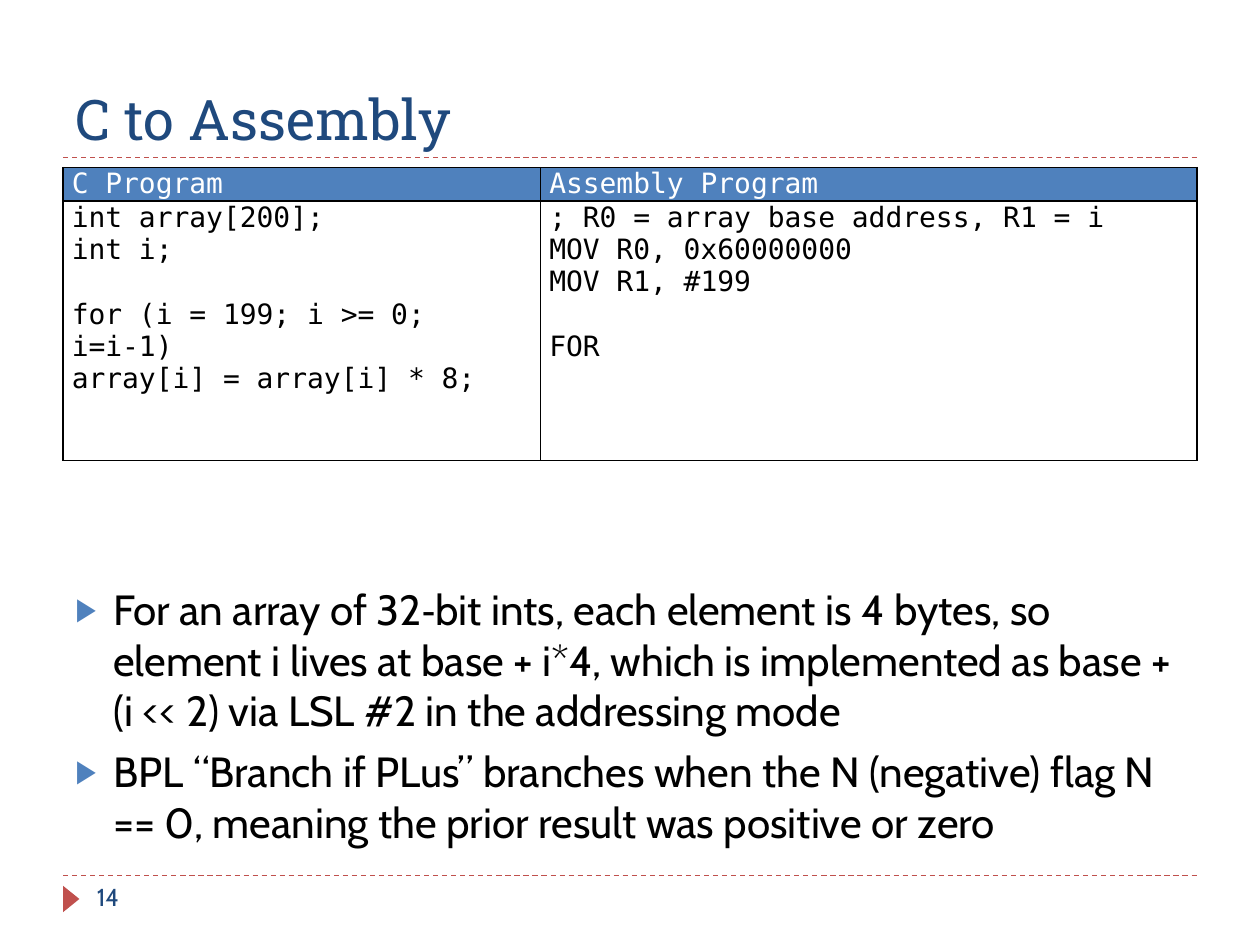
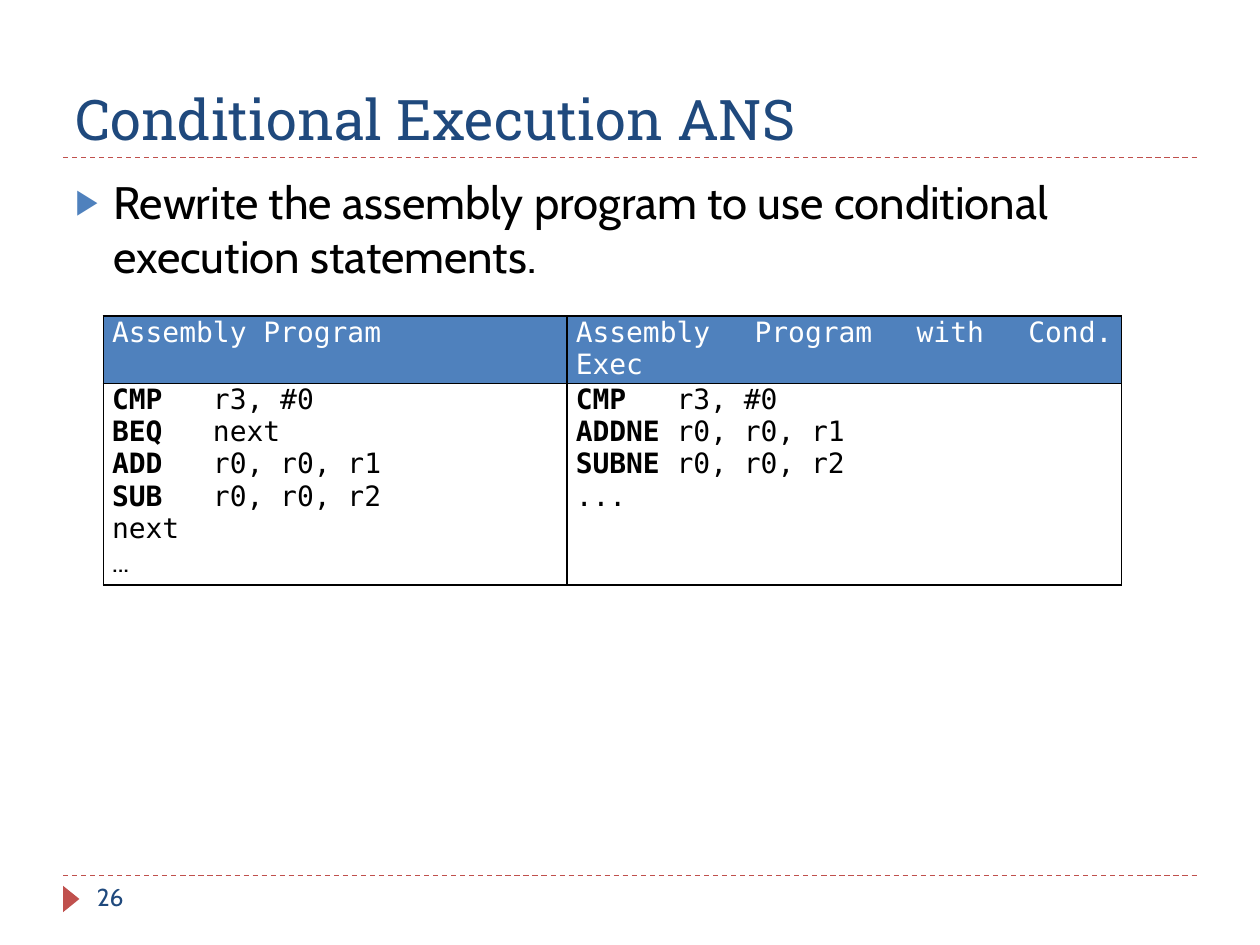
from dataclasses import dataclass

from lxml import etree
from pptx import Presentation
from pptx.dml.color import RGBColor
from pptx.enum.dml import MSO_LINE
from pptx.enum.shapes import MSO_CONNECTOR, MSO_SHAPE
from pptx.enum.text import MSO_ANCHOR, PP_ALIGN
from pptx.oxml.ns import qn
from pptx.util import Emu, Pt

PX = 9144
STRAIGHT = MSO_CONNECTOR.STRAIGHT
TRIANGLE = MSO_SHAPE.ISOSCELES_TRIANGLE
DASH = MSO_LINE.DASH
TOP, BOTTOM = MSO_ANCHOR.TOP, MSO_ANCHOR.BOTTOM
LEFT, JUSTIFY = PP_ALIGN.LEFT, PP_ALIGN.JUSTIFY


@dataclass(frozen=True)
class Theme:
    navy: str = "1F497D"
    blue: str = "4F81BD"
    red: str = "C0504D"
    black: str = "000000"
    white: str = "FFFFFF"
    title_font: str = "Roboto Slab"
    body_font: str = "Cabin"
    code_font: str = "DejaVu Sans Mono"
    title_size: float = 32
    number_size: float = 14
    code_size: float = 16
    code_line: float = 18.6
    bullet_gap: float = 6
    rule_width: float = 0.75
    border_width: float = 1


THEME = Theme()


@dataclass(frozen=True)
class CodeColumn:
    width: int
    header: str
    lines: list
    alignment: PP_ALIGN = LEFT
    bold_mnemonics: bool = False
    last_font: str = THEME.code_font


def px(length):
    return Emu(length * PX)


def box(*lengths):
    return [px(length) for length in lengths]


def apply_format(target, values):
    for name, value in values.items():
        setattr(target, name, value)


def add_run(paragraph, text, font_name, size, color, bold=False):
    run = paragraph.add_run()
    run.text = text
    apply_format(run.font, {"name": font_name, "size": Pt(size), "bold": bold})
    run.font.color.rgb = RGBColor.from_string(color)


def next_paragraph(text_frame, index):
    return text_frame.add_paragraph() if index else text_frame.paragraphs[0]


def add_text_frame(slide, bounds, anchor=TOP):
    text_frame = slide.shapes.add_textbox(*box(*bounds)).text_frame
    apply_format(text_frame, {"word_wrap": True, "vertical_anchor": anchor})
    return text_frame


def add_label(slide, bounds, text, font_name, size, anchor=TOP):
    text_frame = add_text_frame(slide, bounds, anchor)
    add_run(text_frame.paragraphs[0], text, font_name, size, THEME.navy)


def add_dashed_rule(slide, top):
    rule = slide.shapes.add_connector(STRAIGHT, *box(50, top, 950, top))
    apply_format(rule.line, {"width": Pt(THEME.rule_width), "dash_style": DASH})
    rule.line.color.rgb = RGBColor.from_string(THEME.red)
    etree.SubElement(rule._element.spPr, qn("a:effectLst"))


def add_footer_marker(slide):
    marker = slide.shapes.add_shape(TRIANGLE, *box(46, 707, 21, 13))
    marker.rotation = 90
    marker.shadow.inherit = False
    marker.fill.solid()
    marker.fill.fore_color.rgb = RGBColor.from_string(THEME.red)
    marker.line.fill.background()


def add_framed_slide(presentation, title, number):
    slide = presentation.slides.add_slide(presentation.slide_layouts[6])
    for top in (695, 125):
        add_dashed_rule(slide, top)
    add_footer_marker(slide)
    add_label(slide, (50, 17, 900, 108), title,
              THEME.title_font, THEME.title_size, BOTTOM)
    add_label(slide, (67, 695, 217, 40), number,
              THEME.body_font, THEME.number_size)
    return slide


def set_bullet(paragraph):
    properties = paragraph._p.get_or_add_pPr()
    properties.set("marL", str(px(30)))
    properties.set("indent", str(px(-30)))
    color = etree.SubElement(properties, qn("a:buClr"))
    etree.SubElement(color, qn("a:srgbClr"), val=THEME.blue)
    etree.SubElement(properties, qn("a:buSzPct"), val="76000")
    etree.SubElement(properties, qn("a:buFont"), typeface=THEME.body_font)
    etree.SubElement(properties, qn("a:buChar"), char="▶")


def add_bullets(slide, bounds, size, texts):
    text_frame = add_text_frame(slide, bounds)
    for index, text in enumerate(texts):
        paragraph = next_paragraph(text_frame, index)
        set_bullet(paragraph)
        if index:
            paragraph.space_before = Pt(THEME.bullet_gap)
        add_run(paragraph, text, THEME.body_font, size, THEME.black)


def set_borders(cell):
    properties = cell._tc.get_or_add_tcPr()
    for position, side in enumerate(("lnL", "lnR", "lnT", "lnB")):
        border = etree.Element(qn(f"a:{side}"), w=str(Pt(THEME.border_width)))
        fill = etree.SubElement(border, qn("a:solidFill"))
        etree.SubElement(fill, qn("a:srgbClr"), val=THEME.black)
        properties.insert(position, border)


def format_cell(cell, fill_color=None):
    apply_format(cell, {"margin_left": px(7), "margin_right": px(7),
                        "margin_top": 0, "margin_bottom": 0})
    if fill_color:
        cell.fill.solid()
        cell.fill.fore_color.rgb = RGBColor.from_string(fill_color)
    else:
        cell.fill.background()
    set_borders(cell)


def fill_header(cell, text):
    format_cell(cell, THEME.blue)
    paragraph = cell.text_frame.paragraphs[0]
    paragraph.alignment = JUSTIFY
    add_run(paragraph, text, THEME.code_font, THEME.code_size, THEME.white)


def fill_code(cell, column):
    format_cell(cell)
    gap = 0
    for index, line in enumerate(column.lines):
        if not line:
            gap = THEME.code_line
            continue
        paragraph = next_paragraph(cell.text_frame, index)
        paragraph.alignment = column.alignment
        if gap:
            paragraph.space_before = Pt(gap)
            gap = 0
        is_last = index == len(column.lines) - 1
        font_name = column.last_font if is_last else THEME.code_font
        split = max(line.find(" "), 0) if column.bold_mnemonics else 0
        for text, bold in ((line[:split], True), (line[split:], False)):
            if text:
                add_run(paragraph, text, font_name, THEME.code_size,
                        THEME.black, bold)


def add_code_table(slide, left, top, row_heights, columns):
    width = sum(column.width for column in columns)
    table = slide.shapes.add_table(
        len(row_heights), len(columns),
        *box(left, top, width, sum(row_heights))).table
    apply_format(table, {"first_row": False, "horz_banding": False})
    for row, height in zip(table.rows, row_heights):
        row.height = px(height)
    for index, column in enumerate(columns):
        table.columns[index].width = px(column.width)
        fill_header(table.cell(0, index), column.header)
        fill_code(table.cell(1, index), column)


def add_c_to_assembly(presentation):
    slide = add_framed_slide(presentation, "C to Assembly", "14")
    add_bullets(slide, (50, 458, 900, 215), 24.1, [
        "For an array of 32‑bit ints, each element is 4 bytes, so element i "
        "lives at base + i*4, which is implemented as base + (i << 2) via "
        "LSL #2 in the addressing mode",
        "BPL “Branch if PLus” branches when the N (negative) flag N == 0, "
        "meaning the prior result was positive or zero",
    ])
    add_code_table(slide, 50, 133, (25, 206), [
        CodeColumn(379, "C Program", [
            "int array[200];",
            "int i;",
            "",
            "for (i = 199; i >= 0; i=i-1)",
            "array[i] = array[i] * 8;",
        ]),
        CodeColumn(521, "Assembly Program", [
            "; R0 = array base address, R1 = i",
            "MOV R0, 0x60000000",
            "MOV R1, #199",
            "",
            "FOR",
        ], alignment=JUSTIFY),
    ])


def add_conditional_execution(presentation):
    slide = add_framed_slide(presentation, "Conditional Execution ANS", "26")
    add_bullets(slide, (50, 133, 900, 117), 26, [
        "Rewrite the assembly program to use conditional execution statements.",
    ])
    add_code_table(slide, 82, 251, (51, 155), [
        CodeColumn(368, "Assembly Program", [
            "CMP   r3, #0",
            "BEQ   next",
            "ADD   r0, r0, r1",
            "SUB   r0, r0, r2",
            "next",
            "...",
        ], bold_mnemonics=True, last_font=THEME.body_font),
        CodeColumn(440, "Assembly Program with Cond. Exec", [
            "CMP   r3, #0",
            "ADDNE r0, r0, r1",
            "SUBNE r0, r0, r2",
            "...",
        ], bold_mnemonics=True),
    ])


def main():
    presentation = Presentation()
    apply_format(presentation, {"slide_width": px(1000),
                                "slide_height": px(750)})
    add_c_to_assembly(presentation)
    add_conditional_execution(presentation)
    presentation.save("out.pptx")


if __name__ == "__main__":
    main()
